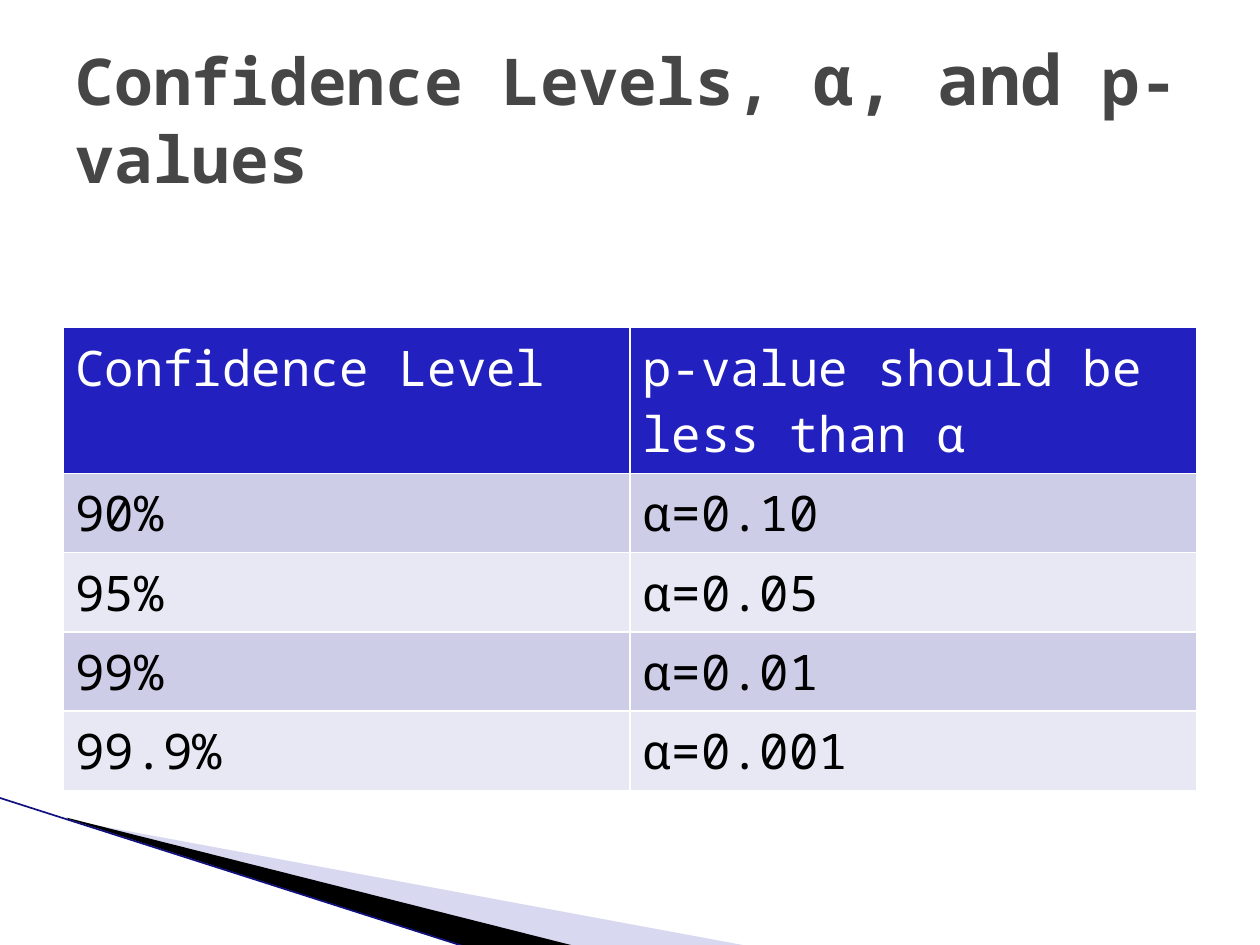
from dataclasses import dataclass

from lxml import etree
from pptx import Presentation
from pptx.dml.color import RGBColor
from pptx.enum.shapes import MSO_CONNECTOR
from pptx.enum.text import MSO_ANCHOR, MSO_AUTO_SIZE, PP_ALIGN
from pptx.oxml.ns import qn
from pptx.util import Inches, Pt

STRAIGHT = MSO_CONNECTOR.STRAIGHT
MIDDLE = MSO_ANCHOR.MIDDLE
NO_AUTOFIT = MSO_AUTO_SIZE.NONE
LEFT = PP_ALIGN.LEFT
TITLE_ONLY_LAYOUT = 5


@dataclass(frozen=True)
class Theme:
    font: str = "Noto Sans Mono"
    title_size: float = 36.9
    alpha_size: float = 39.6
    table_size: float = 28
    title: str = "464646"
    white: str = "FFFFFF"
    black: str = "000000"
    header: str = "2221BF"
    bands: tuple = ("CDCDE8", "E8E8F4")
    wedge: str = "9F9FDC"
    edge: str = "11107F"


THEME = Theme()

ROWS = [
    ("Confidence Level", "p-value should be less than α"),
    ("90%", "α=0.10"),
    ("95%", "α=0.05"),
    ("99%", "α=0.01"),
    ("99.9%", "α=0.001"),
]


def add_text(paragraph, text, size, color, bold=False):
    run = paragraph.add_run()
    run.text = text
    run.font.name = THEME.font
    run.font.size = Pt(size)
    run.font.bold = bold
    run.font.color.rgb = RGBColor.from_string(color)


def add_wedge(slide, points, color, opacity=100):
    corners = [(Inches(x), Inches(y)) for x, y in points]
    builder = slide.shapes.build_freeform(*corners[0])
    builder.add_line_segments(corners[1:], close=True)
    shape = builder.convert_to_shape()
    shape.shadow.inherit = False
    shape.line.fill.background()
    shape.fill.solid()
    shape.fill.fore_color.rgb = RGBColor.from_string(color)
    if opacity < 100:
        fill_color = shape.fill._xPr.find(qn("a:solidFill"))[0]
        etree.SubElement(fill_color, qn("a:alpha"), val=str(opacity * 1000))


def add_edge(slide, start, end):
    ends = [Inches(value) for value in (*start, *end)]
    connector = slide.shapes.add_connector(STRAIGHT, *ends)
    connector.line.color.rgb = RGBColor.from_string(THEME.edge)
    connector.line.width = Pt(0.95)
    etree.SubElement(connector._element.spPr, qn("a:effectLst"))


def set_borders(cell):
    properties = cell._tc.get_or_add_tcPr()
    for index, side in enumerate(("lnL", "lnR", "lnT", "lnB")):
        border = etree.Element(qn(f"a:{side}"), w=str(Pt(1)))
        fill = etree.SubElement(border, qn("a:solidFill"))
        etree.SubElement(fill, qn("a:srgbClr"), val=THEME.white)
        properties.insert(index, border)


def add_table(slide):
    frame = slide.shapes.add_table(
        len(ROWS), len(ROWS[0]), Inches(0.5), Inches(2.6), Inches(9), Inches(3.3)
    )
    for row_index, texts in enumerate(ROWS):
        is_header = row_index == 0
        fill = THEME.header if is_header else THEME.bands[(row_index - 1) % 2]
        frame.table.rows[row_index].height = Inches(0.41)
        for column_index, text in enumerate(texts):
            cell = frame.table.cell(row_index, column_index)
            cell.fill.solid()
            cell.fill.fore_color.rgb = RGBColor.from_string(fill)
            set_borders(cell)
            add_text(
                cell.text_frame.paragraphs[0],
                text,
                size=THEME.table_size,
                color=THEME.white if is_header else THEME.black,
            )
    frame.height = Inches(3.3)


def fill_title(slide):
    title = slide.shapes.title
    title.left, title.top = Inches(0.5), Inches(0.3)
    title.width, title.height = Inches(9), Inches(1.25)
    text_frame = title.text_frame
    text_frame.auto_size = NO_AUTOFIT
    text_frame.vertical_anchor = MIDDLE
    paragraph = text_frame.paragraphs[0]
    paragraph.alignment = LEFT
    for text, size in (
        ("Confidence Levels, ", THEME.title_size),
        ("α, and", THEME.alpha_size),
        (" p-values", THEME.title_size),
    ):
        add_text(paragraph, text, size=size, color=THEME.title, bold=True)


def add_corner(slide):
    add_wedge(
        slide,
        [(0.55, 6.51), (5.95, 7.51), (4.56, 7.51), (0.55, 6.5)],
        THEME.wedge,
        opacity=40,
    )
    add_wedge(
        slide, [(0.53, 6.49), (4.57, 7.51), (3.72, 7.52), (0.54, 6.5)], THEME.black
    )
    add_edge(slide, (-0.01, 6.33), (3.71, 7.52))


def main():
    presentation = Presentation()
    presentation.slide_width = Inches(10)
    presentation.slide_height = Inches(7.5)
    layout = presentation.slide_layouts[TITLE_ONLY_LAYOUT]
    slide = presentation.slides.add_slide(layout)
    add_corner(slide)
    add_table(slide)
    fill_title(slide)
    presentation.save("out.pptx")


if __name__ == "__main__":
    main()
